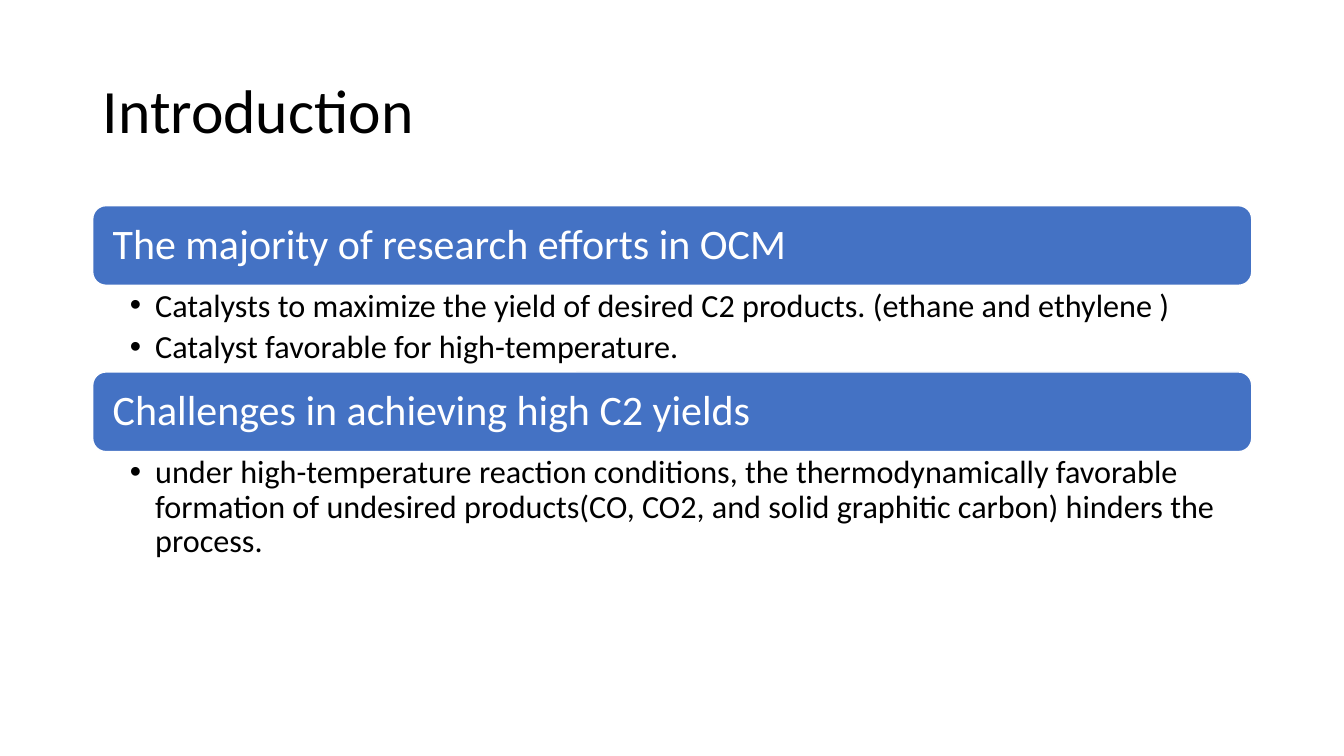
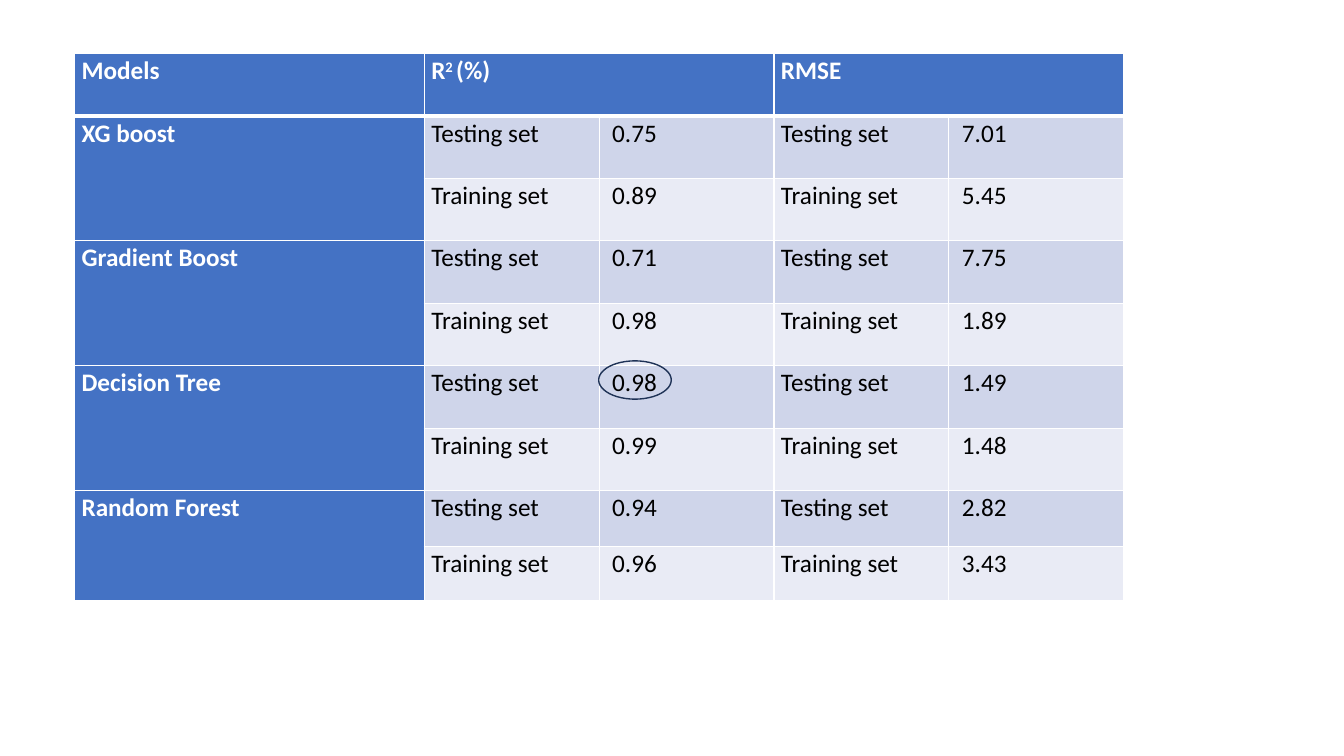
from dataclasses import dataclass

from lxml.etree import SubElement
from pptx import Presentation
from pptx.dml.color import RGBColor
from pptx.enum.shapes import MSO_SHAPE as Preset
from pptx.enum.text import MSO_ANCHOR as Anchor, MSO_AUTO_SIZE as AutoSize, PP_ALIGN as Align
from pptx.oxml.ns import qn
from pptx.util import Emu, Pt

EMU_PER_PX = 914400 // 200
FONT = "Calibri"
COLORS = {
    "blue": "4472C4",
    "odd_row": "CFD5EA",
    "even_row": "E9EBF5",
    "outline": "1E3256",
    "white": "FFFFFF",
    "black": "000000",
}


@dataclass(frozen=True)
class Section:
    heading: str
    bullets: tuple[str, ...]
    body_height: int


@dataclass(frozen=True)
class Model:
    name: str
    testing: tuple[str, str]
    training: tuple[str, str]


SECTIONS = (
    Section(
        "The majority of research efforts in OCM",
        (
            "Catalysts to maximize the yield of desired C2 products. (ethane and ethylene )",
            "Catalyst favorable for high-temperature.",
        ),
        172,
    ),
    Section(
        "Challenges in achieving high C2 yields",
        (
            "under high-temperature reaction conditions, the thermodynamically favorable "
            "formation of undesired products(CO, CO2, and solid graphitic carbon) hinders "
            "the process.",
        ),
        230,
    ),
)
MODELS = (
    Model("XG boost", ("0.75", "7.01"), ("0.89", "5.45")),
    Model("Gradient Boost", ("0.71", "7.75"), ("0.98", "1.89")),
    Model("Decision Tree", ("0.98", "1.49"), ("0.99", "1.48")),
    Model("Random Forest", ("0.94", "2.82"), ("0.96", "3.43")),
)
CONTENT_LEFT, CONTENT_WIDTH = 184, 2300
BAND_TOP, BAND_HEIGHT = 408, 158
TABLE_LEFT, TABLE_TOP = 148, 106
COLUMN_WIDTHS = (694,) + (347,) * 4
ROW_HEIGHTS = (124,) * 7 + (110, 108)


def px(length: int) -> Emu:
    return Emu(length * EMU_PER_PX)


def box(left: int, top: int, width: int, height: int) -> tuple[Emu, ...]:
    return px(left), px(top), px(width), px(height)


def color(name: str) -> RGBColor:
    return RGBColor.from_string(COLORS[name])


def set_insets(target, left: int, top: int, right: int, bottom: int) -> None:
    target.margin_left, target.margin_top = px(left), px(top)
    target.margin_right, target.margin_bottom = px(right), px(bottom)


def style_runs(paragraph, size: int, color_name: str, bold: bool = False) -> None:
    for run in paragraph.runs:
        run.font.name = FONT
        run.font.size = Pt(size)
        run.font.bold = bold
        run.font.color.rgb = color(color_name)


def place_title(slide, text: str) -> None:
    title = slide.shapes.title
    title.left, title.top, title.width, title.height = box(CONTENT_LEFT, 80, CONTENT_WIDTH, 290)
    frame = title.text_frame
    frame.text = text
    frame.auto_size = AutoSize.NONE
    frame.vertical_anchor = Anchor.MIDDLE
    paragraph = frame.paragraphs[0]
    paragraph.alignment = Align.LEFT
    paragraph.line_spacing = 0.9
    style_runs(paragraph, 44, "black")


def add_band(slide, top: int, heading: str) -> None:
    band = slide.shapes.add_shape(
        Preset.ROUNDED_RECTANGLE, *box(CONTENT_LEFT, top, CONTENT_WIDTH, BAND_HEIGHT)
    )
    band.shadow.inherit = False
    band.fill.solid()
    band.fill.fore_color.rgb = color("blue")
    band.line.color.rgb = color("white")
    band.line.width = Pt(1)
    frame = band.text_frame
    frame.text = heading
    frame.vertical_anchor = Anchor.MIDDLE
    set_insets(frame, 32, 24, 32, 24)
    paragraph = frame.paragraphs[0]
    paragraph.alignment = Align.LEFT
    paragraph.line_spacing = 0.9
    style_runs(paragraph, 30, "white")


def add_bullets(slide, top: int, section: Section) -> None:
    body = slide.shapes.add_textbox(*box(CONTENT_LEFT, top, CONTENT_WIDTH, section.body_height))
    frame = body.text_frame
    frame.word_wrap = True
    set_insets(frame, 74, 8, 46, 8)
    frame.text = "\n".join(section.bullets)
    for paragraph in frame.paragraphs:
        properties = paragraph._p.get_or_add_pPr()
        properties.set("marL", str(px(50)))
        properties.set("indent", str(px(-50)))
        SubElement(properties, qn("a:buFont"), typeface="Arial")
        SubElement(properties, qn("a:buChar"), char="•")
        paragraph.line_spacing = 0.9
        paragraph.space_after = Pt(4.6)
        style_runs(paragraph, 23, "black")


def add_borders(cell, top: int = 1, bottom: int = 1) -> None:
    properties = cell._tc.get_or_add_tcPr()
    for side, points in (("L", 1), ("R", 1), ("T", top), ("B", bottom)):
        line = SubElement(properties, qn(f"a:ln{side}"), w=str(Pt(points)))
        fill = SubElement(line, qn("a:solidFill"))
        SubElement(fill, qn("a:srgbClr"), val=COLORS["white"])


def format_cell(cell, row: int, column: int) -> None:
    is_heading = row == 0 or column == 0
    add_borders(cell, top=3 if row == 1 else 1, bottom=3 if row == 0 else 1)
    cell.fill.solid()
    fill_name = "blue" if is_heading else ("odd_row" if row % 2 else "even_row")
    cell.fill.fore_color.rgb = color(fill_name)
    is_value = not is_heading and column % 2 == 0
    set_insets(cell, 26 if is_value else 14, 0, 14, 0)
    cell.vertical_anchor = Anchor.TOP
    paragraph = cell.text_frame.paragraphs[0]
    paragraph.line_spacing = 1.07
    paragraph.space_after = Pt(8)
    style_runs(paragraph, 18, "white" if is_heading else "black", is_heading)


def write_r_squared(cell) -> None:
    paragraph = cell.text_frame.paragraphs[0]
    for text, baseline in (("R", 0), ("2 ", 30000), ("(%)", 0)):
        run = paragraph.add_run()
        run.text = text
        if baseline:
            run._r.get_or_add_rPr().set("baseline", str(baseline))


def add_results_table(slide) -> None:
    table = slide.shapes.add_table(
        len(ROW_HEIGHTS), len(COLUMN_WIDTHS),
        *box(TABLE_LEFT, TABLE_TOP, sum(COLUMN_WIDTHS), sum(ROW_HEIGHTS)),
    ).table
    table.first_row = table.horz_banding = False
    for table_column, width in zip(table.columns, COLUMN_WIDTHS):
        table_column.width = px(width)
    for table_row, height in zip(table.rows, ROW_HEIGHTS):
        table_row.height = px(height)

    table.cell(0, 0).text = "Models"
    write_r_squared(table.cell(0, 1))
    table.cell(0, 3).text = "RMSE"
    for column in (1, 3):
        table.cell(0, column).merge(table.cell(0, column + 1))
    for index, model in enumerate(MODELS):
        first = 1 + 2 * index
        table.cell(first, 0).text = model.name
        table.cell(first, 0).merge(table.cell(first + 1, 0))
        results = (("Testing set", model.testing), ("Training set", model.training))
        for row, (label, values) in enumerate(results, first):
            for column, value in zip((1, 3), values):
                table.cell(row, column).text = label
                table.cell(row, column + 1).text = value
    for row in range(len(ROW_HEIGHTS)):
        for column in range(len(COLUMN_WIDTHS)):
            format_cell(table.cell(row, column), row, column)


def add_highlight(slide) -> None:
    highlight = slide.shapes.add_shape(Preset.OVAL, *box(1188, 716, 144, 76))
    highlight.shadow.inherit = False
    highlight.fill.background()
    highlight.line.color.rgb = color("outline")
    highlight.line.width = Pt(1)


def build_introduction(presentation) -> None:
    slide = presentation.slides.add_slide(presentation.slide_layouts.get_by_name("Title Only"))
    place_title(slide, "Introduction")
    top = BAND_TOP
    for section in SECTIONS:
        add_band(slide, top, section.heading)
        add_bullets(slide, top + BAND_HEIGHT, section)
        top += BAND_HEIGHT + section.body_height


def build_results(presentation) -> None:
    slide = presentation.slides.add_slide(presentation.slide_layouts.get_by_name("Blank"))
    add_results_table(slide)
    add_highlight(slide)


def main() -> None:
    presentation = Presentation()
    presentation.slide_width, presentation.slide_height = px(2667), px(1500)
    build_introduction(presentation)
    build_results(presentation)
    presentation.save("out.pptx")


if __name__ == "__main__":
    main()
